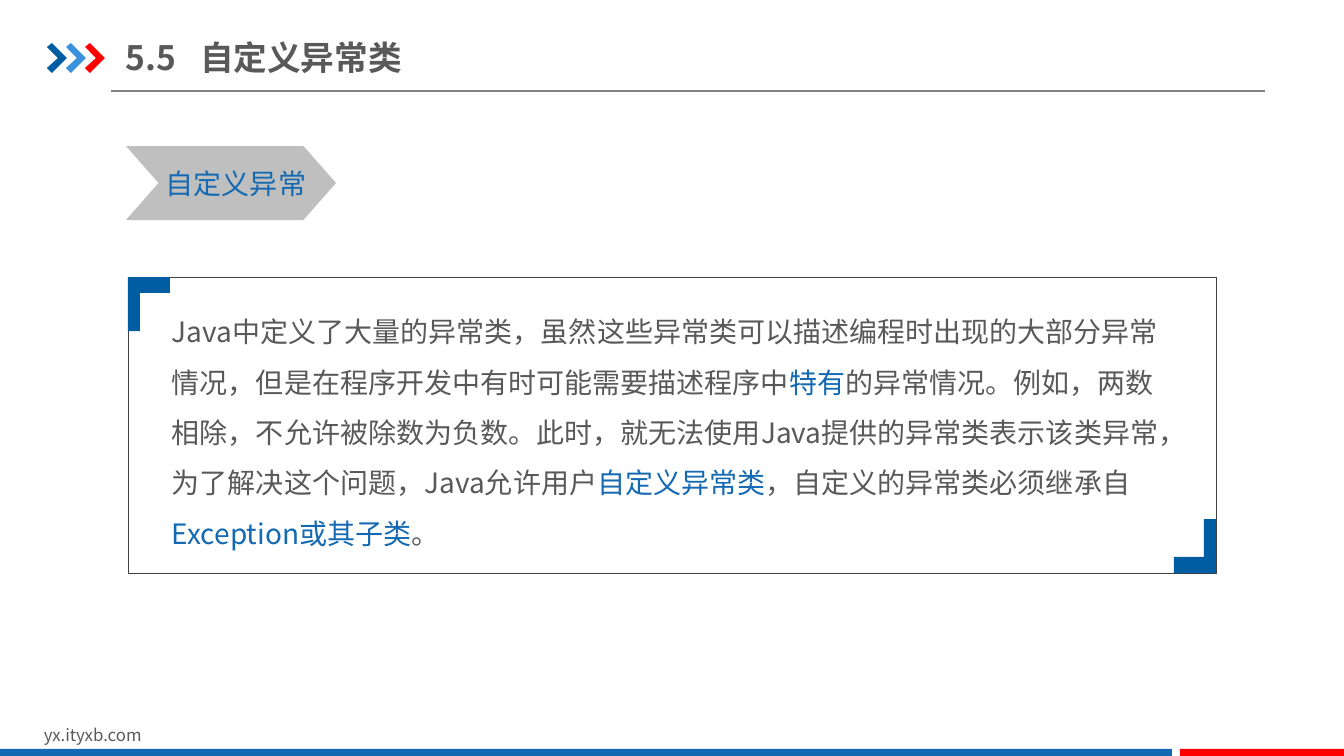
from lxml import etree
from pptx import Presentation
from pptx.dml.color import RGBColor
from pptx.enum.shapes import MSO_CONNECTOR, MSO_SHAPE
from pptx.enum.text import MSO_ANCHOR, MSO_AUTO_SIZE, PP_ALIGN
from pptx.oxml.ns import qn
from pptx.util import Pt

PX = 914400 / 100.8
FONT = "Noto Sans CJK SC"
COLORS = {
    "text": "595959",
    "accent": "1369B2",
    "navy": "005DA2",
    "sky": "3992DB",
    "red": "FF0000",
    "tag": "BFBFBF",
    "rule": "808080",
    "frame": "404040",
}
RECT, CHEVRON = MSO_SHAPE.RECTANGLE, MSO_SHAPE.CHEVRON
STRAIGHT = MSO_CONNECTOR.STRAIGHT
LEFT, MIDDLE, TOP = PP_ALIGN.LEFT, MSO_ANCHOR.MIDDLE, MSO_ANCHOR.TOP
NO_FIT = MSO_AUTO_SIZE.NONE

TITLE = "5.5\t自定义异常类"
EXPLANATION = [
    ("Java中定义了大量的异常类，虽然这些异常类可以描述编程时出现的大部分异常情况，"
     "但是在程序开发中有时可能需要描述程序中", "text"),
    ("特有", "accent"),
    ("的异常情况。例如，两数相除，不允许被除数为负数。此时，就无法使用Java提供的"
     "异常类表示该类异常，为了解决这个问题，Java允许用户", "text"),
    ("自定义异常类", "accent"),
    ("，自定义的异常类必须继承自", "text"),
    ("Exception或其子类", "accent"),
    ("。", "text"),
]


def px(*lengths):
    return [round(length * PX) for length in lengths]


def rgb(name):
    return RGBColor.from_string(COLORS[name])


def set_attributes(target, values):
    for name, value in values.items():
        setattr(target, name, value)


def add_run(paragraph, text, color, size, bold=False):
    run = paragraph.add_run()
    run.text = text
    set_attributes(run.font, {"size": Pt(size), "bold": bold, "name": FONT})
    run.font.color.rgb = rgb(color)
    east_asian = etree.SubElement(run.font._element, qn("a:ea"))
    east_asian.set("typeface", FONT)


def add_text(slide, box, pieces, size, spacing=None):
    frame = slide.shapes.add_textbox(*px(*box)).text_frame
    set_attributes(frame, {"word_wrap": True, "vertical_anchor": TOP})
    paragraph = frame.paragraphs[0]
    paragraph.line_spacing = spacing
    for text, color in pieces:
        add_run(paragraph, text, color, size)


def paint(shape, color):
    shape.shadow.inherit = False
    shape.fill.solid()
    shape.fill.fore_color.rgb = rgb(color)
    shape.line.fill.background()


def add_block(slide, kind, box, color):
    block = slide.shapes.add_shape(kind, *px(*box))
    paint(block, color)
    return block


def add_outline(slide, points, color):
    builder = slide.shapes.build_freeform(*points[0], scale=PX)
    builder.add_line_segments(points[1:], close=True)
    paint(builder.convert_to_shape(), color)


def add_heading(slide, left, top, width, height):
    title = slide.shapes.title
    names = ("left", "top", "width", "height")
    set_attributes(title, dict(zip(names, px(left, top, width, height))))
    frame = title.text_frame
    set_attributes(frame, {"margin_left": 0, "margin_right": 0, "word_wrap": True,
                           "auto_size": NO_FIT, "vertical_anchor": MIDDLE})
    paragraph = frame.paragraphs[0]
    paragraph.alignment = LEFT
    tabs = etree.SubElement(paragraph._p.get_or_add_pPr(), qn("a:tabLst"))
    etree.SubElement(tabs, qn("a:tab"), pos=str(px(74)[0]), algn="l")
    add_run(paragraph, TITLE, "text", 24, bold=True)

    arrow = [(0, 4), (5, 0), (20, 15), (5, 30), (0, 25), (11, 15)]
    for index, color in enumerate(("navy", "sky", "red")):
        arrow_left = left - 79 + 19 * index
        add_outline(slide, [(arrow_left + x, top + 14 + y) for x, y in arrow], color)

    rule_left, rule_y = left - 15, top + 62
    rule = slide.shapes.add_connector(
        STRAIGHT, *px(rule_left, rule_y, rule_left + 1154, rule_y))
    rule.line.color.rgb = rgb("rule")
    rule.line.width = Pt(0.75)
    etree.SubElement(rule._element.spPr, qn("a:effectLst"))


def add_topic_tag(slide, left, top, width, height):
    tag = add_block(slide, CHEVRON, (left, top, width, height), "tag")
    tag.adjustments[0] = 0.44
    add_text(slide, (left + 30, top + 16, width - 30, 44), [("自定义异常", "accent")], 20)


def add_explanation(slide, left, top, width, height):
    add_text(slide, (left + 34, top + 16, width - 67, height - 32), EXPLANATION, 20, spacing=1.5)
    frame = slide.shapes.add_shape(RECT, *px(left, top, width, height))
    frame.shadow.inherit = False
    frame.fill.background()
    frame.line.color.rgb = rgb("frame")
    frame.line.width = Pt(0.25)
    corner = [(0, 0), (42, 0), (42, 16), (12, 16), (12, 54), (0, 54)]
    for x0, y0, sign in ((left, top, 1), (left + width, top + height, -1)):
        add_outline(slide, [(x0 + sign * x, y0 + sign * y) for x, y in corner], "navy")


def add_footer(slide, left, top, width, height):
    add_text(slide, (left + 34, top - 29, 320, 30), [("yx.ityxb.com", "text")], 12)
    red_width, gap = 164, 8
    add_block(slide, RECT, (left, top, width - red_width - gap, height), "accent")
    add_block(slide, RECT, (left + width - red_width, top, red_width, height), "red")


def main():
    presentation = Presentation()
    presentation.slide_width, presentation.slide_height = px(1344, 756)
    slide = presentation.slides.add_slide(presentation.slide_layouts[5])
    add_heading(slide, 126, 29, 503, 56)
    add_footer(slide, 0, 749, 1344, 8)
    add_topic_tag(slide, 126, 146, 210, 74)
    add_explanation(slide, 128, 277, 1088, 296)
    presentation.save("out.pptx")


if __name__ == "__main__":
    main()
